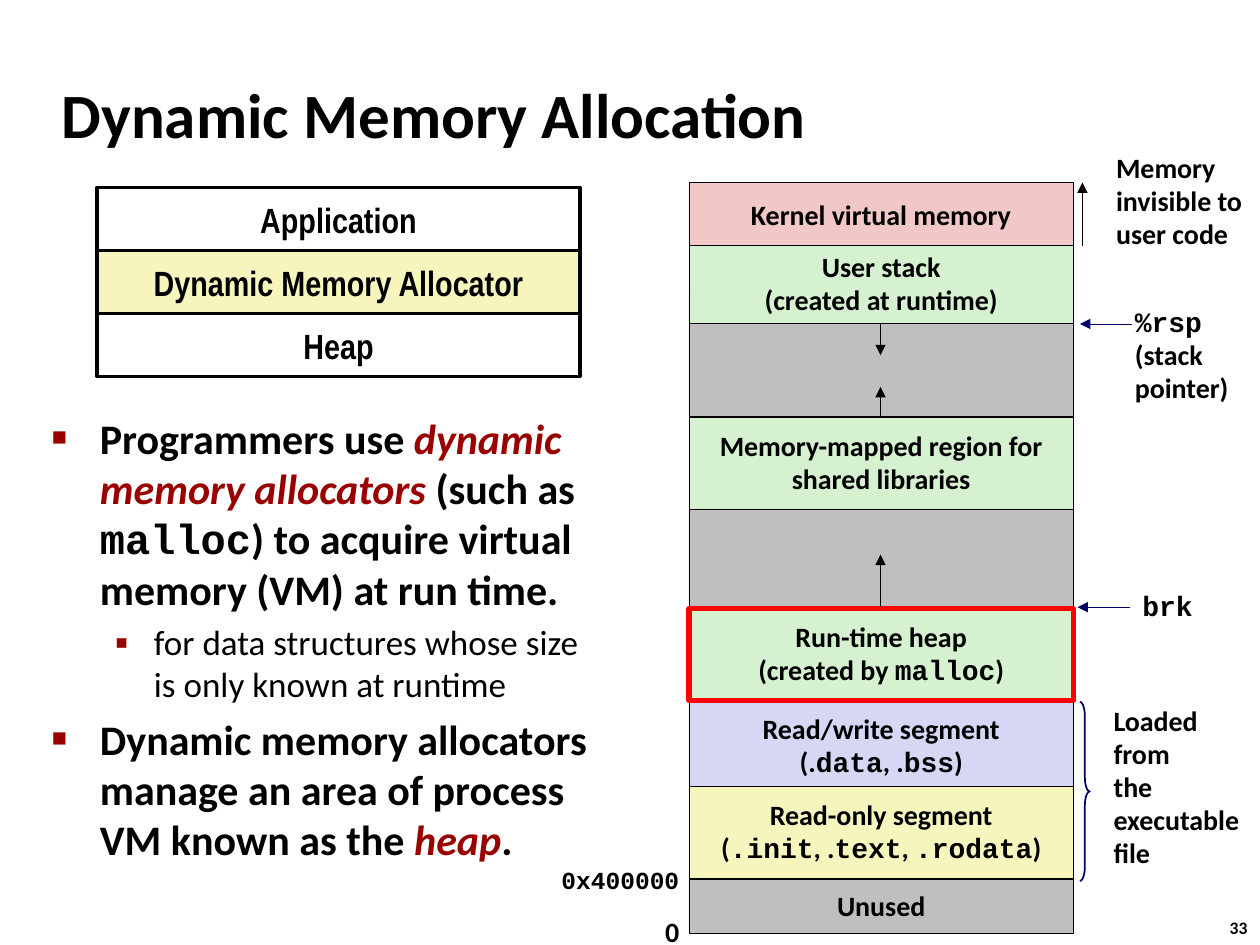
from dataclasses import dataclass

from lxml import etree
from pptx import Presentation
from pptx.dml.color import RGBColor
from pptx.enum.shapes import MSO_CONNECTOR, MSO_SHAPE
from pptx.enum.text import MSO_ANCHOR, MSO_AUTO_SIZE, PP_ALIGN
from pptx.oxml.ns import qn
from pptx.util import Cm, Pt

RECTANGLE, BRACE = MSO_SHAPE.RECTANGLE, MSO_SHAPE.RIGHT_BRACE
STRAIGHT = MSO_CONNECTOR.STRAIGHT
TOP, MIDDLE = MSO_ANCHOR.TOP, MSO_ANCHOR.MIDDLE
LEFT, CENTER = PP_ALIGN.LEFT, PP_ALIGN.CENTER
FIXED, GROW = MSO_AUTO_SIZE.NONE, MSO_AUTO_SIZE.SHAPE_TO_FIT_TEXT

SANS, NARROW, MONO = "Calibri", "Arial Narrow", "Courier New"
BLACK, WHITE, RED, CRIMSON, NAVY = "000000", "FFFFFF", "FF0000", "990000", "000066"
PINK, GREEN, GRAY, LILAC, YELLOW = "F1C7C7", "D5F1CF", "BFBFBF", "D6D6F5", "F6F5BD"

LAYER_HEIGHT = 1.27
REGION_LEFT, REGION_WIDTH = 13.89, 7.75
REGION_MIDDLE = 17.75


@dataclass
class Box:
    text: str
    left: float
    top: float
    width: float
    height: float
    fill: str
    line: str = BLACK
    line_width: float = 0.25
    font: str = SANS
    size: float = 16
    spacing: float = 0.98


@dataclass
class Note:
    text: str
    left: float
    top: float
    width: float
    height: float
    size: float = 16
    wrap: bool = False
    spacing: float = 0.98


@dataclass
class Arrow:
    start: tuple[float, float]
    end: tuple[float, float]
    color: str = BLACK


@dataclass
class Bullet:
    text: str
    level: int
    size: float
    bold: bool
    margin: float
    hanging: float
    mark: str
    mark_percent: int


def region(text: str, top: float, height: float, fill: str, **style) -> Box:
    return Box(text, REGION_LEFT, top, REGION_WIDTH, height, fill, **style)


LAYERS = [
    Box(text, 1.96, 3.78 + row * LAYER_HEIGHT, 9.73, LAYER_HEIGHT, fill,
        line_width=2, font=NARROW, size=20, spacing=1)
    for row, (text, fill) in enumerate([
        ("Application", WHITE), ("Dynamic Memory Allocator", YELLOW), ("Heap", WHITE)])
]
# Neighbouring regions overlap a little, so the order here is the stacking order.
REGIONS = [
    region("Kernel virtual memory", 3.68, 1.35, PINK),
    region("Memory-mapped region for\nshared libraries", 8.41, 1.85, GREEN),
    region("", 10.26, 2.01, GRAY),
    region("", 5.89, 2.51, GRAY),
    region("User stack\n(created at runtime)", 4.95, 1.57, GREEN),
    region("Unused", 17.73, 1.09, GRAY),
    region("Read/write segment\n(.`data`, .`bss`)", 14.12, 1.85, LILAC),
    region("Read-only segment\n(`.init`, .`text`, `.rodata`)", 15.85, 1.85, YELLOW),
    region("Run-time heap\n(created by `malloc`)", 12.27, 1.85, GREEN,
           line=RED, line_width=3),
]
ARROWS = [
    Arrow((REGION_MIDDLE, 12.24), (REGION_MIDDLE, 11.18)),
    Arrow((REGION_MIDDLE, 8.43), (REGION_MIDDLE, 7.8)),
    Arrow((REGION_MIDDLE, 6.53), (REGION_MIDDLE, 7.16)),
    Arrow((21.82, 4.95), (21.82, 3.68)),
    Arrow((22.83, 6.53), (21.77, 6.53), NAVY),
    Arrow((22.78, 12.24), (21.72, 12.24), NAVY),
]
NOTES = [
    Note("0", 13.16, 18.34, 0.79, 0.94),
    Note("`0x400000`", 11.07, 17.37, 2.9, 0.84, size=14, spacing=0.94),
    Note("Memory\ninvisible to\nuser code", 22.25, 2.95, 3.2, 2.26),
    Note("`%rsp`\n(stack\npointer)", 22.63, 6.05, 2.41, 2.24),
    Note("`brk`", 22.78, 11.79, 1.52, 0.91, spacing=0.94),
    Note("Loaded\nfrom\nthe\nexecutable\nfile", 22.2, 14.1, 3.2, 3.61, wrap=True),
    Note("33", 24.54, 18.36, 0.94, 0.69, size=10, spacing=1),
]
BULLETS = [
    Bullet("Programmers use *dynamic memory allocators *(such as `malloc`) "
           "to acquire virtual memory (VM) at run time.",
           0, 24, True, 0.97, 0.97, "■", 60),
    Bullet("for data structures whose size is only known at runtime",
           1, 20, False, 2.06, 0.79, "▪", 110),
    Bullet("Dynamic memory allocators manage an area of process VM known as the *heap*.",
           0, 24, True, 0.97, 0.97, "■", 60),
]


def rgb(value: str) -> RGBColor:
    return RGBColor.from_string(value)


def place(shape, left: float, top: float, width: float, height: float) -> None:
    shape.left, shape.top = Cm(left), Cm(top)
    shape.width, shape.height = Cm(width), Cm(height)


def write_spans(para, text: str, font: str, size: float, bold: bool = True) -> None:
    """Fill a paragraph; `backticks` mark code and *stars* mark emphasis."""
    for code_index, piece in enumerate(text.split("`")):
        for star_index, part in enumerate(piece.split("*")):
            if not part:
                continue
            emphasis = star_index % 2 == 1
            span = para.add_run()
            span.text = part
            span.font.name = MONO if code_index % 2 else font
            span.font.size = Pt(size)
            span.font.bold = bold
            span.font.italic = emphasis
            span.font.color.rgb = rgb(CRIMSON if emphasis else BLACK)


def write_lines(frame, text: str, font: str, size: float, spacing: float, align) -> None:
    for index, line in enumerate(text.split("\n")):
        para = frame.add_paragraph() if index else frame.paragraphs[0]
        para.alignment = align
        para.line_spacing = spacing
        write_spans(para, line, font, size)


def draw_box(page, box: Box) -> None:
    shape = page.shapes.add_shape(
        RECTANGLE, Cm(box.left), Cm(box.top), Cm(box.width), Cm(box.height))
    shape.shadow.inherit = False
    shape.fill.solid()
    shape.fill.fore_color.rgb = rgb(box.fill)
    shape.line.color.rgb = rgb(box.line)
    shape.line.width = Pt(box.line_width)
    frame = shape.text_frame
    frame.word_wrap = False
    frame.vertical_anchor = MIDDLE
    write_lines(frame, box.text, box.font, box.size, box.spacing, CENTER)


def draw_note(page, note: Note) -> None:
    shape = page.shapes.add_textbox(
        Cm(note.left), Cm(note.top), Cm(note.width), Cm(note.height))
    frame = shape.text_frame
    frame.word_wrap = note.wrap
    frame.auto_size = GROW
    write_lines(frame, note.text, SANS, note.size, note.spacing, LEFT)


def draw_arrow(page, arrow: Arrow) -> None:
    connector = page.shapes.add_connector(
        STRAIGHT, *(Cm(value) for value in arrow.start + arrow.end))
    connector.line.color.rgb = rgb(arrow.color)
    connector.line.width = Pt(0.25)
    properties = connector._element.spPr
    etree.SubElement(properties.find(qn("a:ln")), qn("a:tailEnd"), type="triangle")
    etree.SubElement(properties, qn("a:effectLst"))


def draw_brace(page) -> None:
    brace = page.shapes.add_shape(BRACE, Cm(21.77), Cm(14.15), Cm(0.2), Cm(3.61))
    brace.shadow.inherit = False
    brace.adjustments[0] = 1.42
    brace.fill.background()
    brace.line.color.rgb = rgb(NAVY)
    brace.line.width = Pt(1)


def set_indent(para, margin: float, hanging: float):
    properties = para._p.get_or_add_pPr()
    properties.set("marL", str(Cm(margin)))
    properties.set("indent", str(-Cm(hanging)))
    return properties


def write_bullet(para, bullet: Bullet) -> None:
    para.level = bullet.level
    properties = set_indent(para, bullet.margin, bullet.hanging)
    color = etree.SubElement(properties, qn("a:buClr"))
    etree.SubElement(color, qn("a:srgbClr"), val=CRIMSON)
    etree.SubElement(properties, qn("a:buSzPct"), val=str(bullet.mark_percent * 1000))
    etree.SubElement(properties, qn("a:buFont"), typeface="Arial")
    etree.SubElement(properties, qn("a:buChar"), char=bullet.mark)
    write_spans(para, bullet.text, SANS, bullet.size, bullet.bold)


def write_placeholders(page) -> None:
    title, body = page.shapes.title, page.placeholders[1]
    place(title, 0.99, 1.22, 21.08, 2.11)
    place(body, 0.79, 8.18, 11.38, 10.59)
    for shape, anchor in ((title, MIDDLE), (body, TOP)):
        shape.text_frame.auto_size = FIXED
        shape.text_frame.vertical_anchor = anchor
    heading = title.text_frame.paragraphs[0]
    heading.alignment = LEFT
    set_indent(heading, 0.33, 0.33)
    write_spans(heading, "Dynamic Memory Allocation", SANS, 36)
    for index, bullet in enumerate(BULLETS):
        frame = body.text_frame
        write_bullet(frame.add_paragraph() if index else frame.paragraphs[0], bullet)


def main() -> None:
    deck = Presentation()
    deck.slide_width, deck.slide_height = Cm(25.4), Cm(19.05)
    page = deck.slides.add_slide(deck.slide_layouts[1])
    write_placeholders(page)
    for box in LAYERS + REGIONS:
        draw_box(page, box)
    for arrow in ARROWS:
        draw_arrow(page, arrow)
    draw_brace(page)
    for note in NOTES:
        draw_note(page, note)
    deck.save("out.pptx")


if __name__ == "__main__":
    main()
